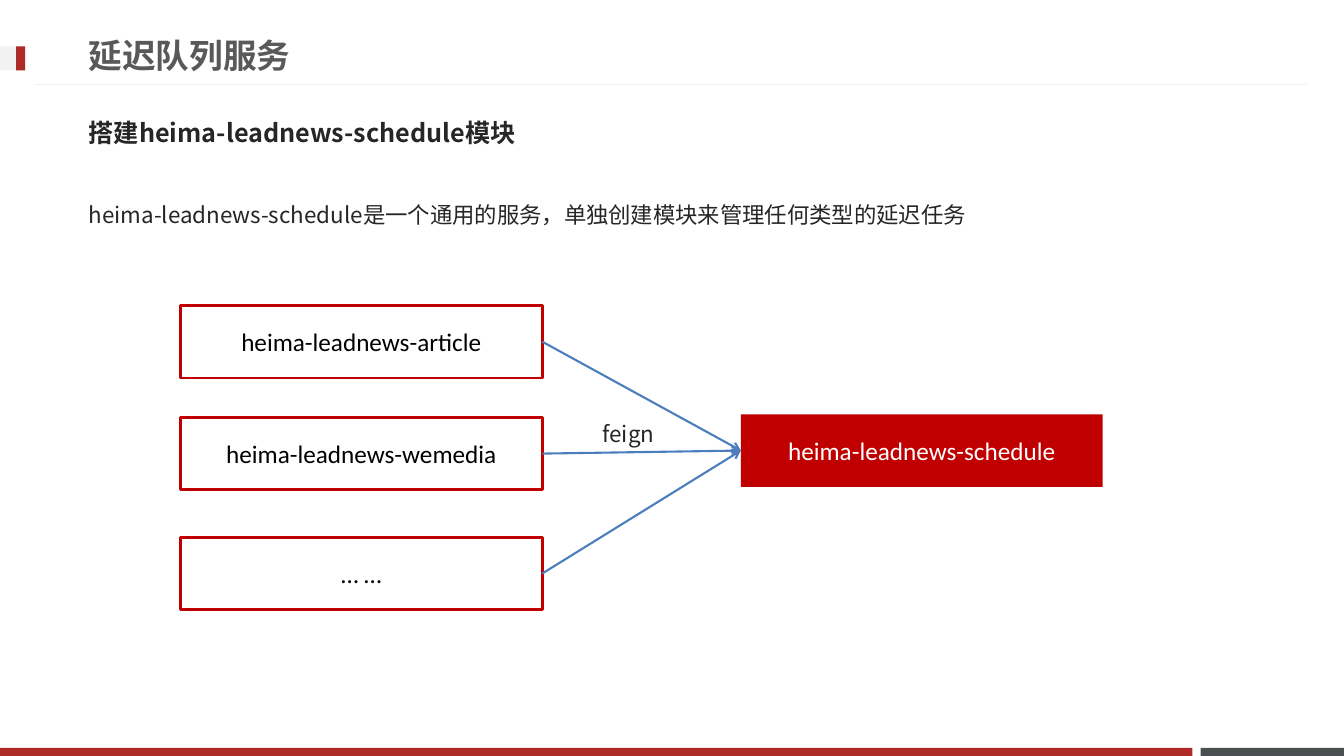
"""Build the delay queue service slide."""
import dataclasses

import lxml.etree
import pptx
import pptx.dml.color
import pptx.enum.shapes
import pptx.enum.text
import pptx.oxml.ns
import pptx.util

ANCHOR = pptx.enum.text.MSO_ANCHOR
ALIGN = pptx.enum.text.PP_ALIGN
KIND = pptx.enum.shapes


@dataclasses.dataclass(frozen=True)
class Theme:
    white: str = "FFFFFF"
    black: str = "000000"
    ink: str = "262626"
    gray: str = "595959"
    pale: str = "F2F2F2"
    slate: str = "49504F"
    brick: str = "AD2B26"
    red: str = "C00000"
    blue: str = "4B7EBC"
    head: int = 24
    label: int = 18
    text: int = 16
    latin: str = "Arial"
    plain: str = "Calibri"
    cjk: str = "Noto Sans CJK JP"


class Deck:
    cols, rows = 160, 90

    def __init__(self, theme):
        self.theme = theme
        self.show = pptx.Presentation()
        self.show.slide_width = pptx.util.Inches(13.33)
        self.show.slide_height = pptx.util.Inches(7.5)
        self.slide = self.show.slides.add_slide(self.show.slide_layouts[3])

    def x(self, col):
        return round(self.show.slide_width * col / self.cols)

    def y(self, row):
        return round(self.show.slide_height * row / self.rows)

    def area(self, col, row, wide, high):
        return self.x(col), self.y(row), self.x(wide), self.y(high)

    def color(self, code):
        return pptx.dml.color.RGBColor.from_string(code)

    def tag(self, parent, name, **attrs):
        return lxml.etree.SubElement(parent, pptx.oxml.ns.qn(name), attrs)

    def label(self, shape, text, size, color, font, bold=False,
              align=ALIGN.LEFT, anchor=ANCHOR.MIDDLE, space=1.0):
        frame = shape.text_frame
        frame.text = text
        frame.word_wrap = True
        frame.auto_size = pptx.enum.text.MSO_AUTO_SIZE.NONE
        frame.vertical_anchor = anchor
        para = frame.paragraphs[0]
        para.alignment = align
        para.line_spacing = space
        para.space_before = pptx.util.Pt(0)
        for run in para.runs:
            run.font.size = pptx.util.Pt(size)
            run.font.bold = bold
            run.font.name = font
            run.font.color.rgb = self.color(color)
            self.tag(run._r.get_or_add_rPr(), "a:ea", typeface=self.theme.cjk)

    def holder(self, index, area, text, size, color, font, **look):
        shape = self.slide.placeholders[index]
        shape.left, shape.top, shape.width, shape.height = self.area(*area)
        self.label(shape, text, size, color, font, **look)
        props = shape.text_frame.paragraphs[0]._p.get_or_add_pPr()
        props.set("marL", "0")
        props.set("indent", "0")
        self.tag(props, "a:buNone")

    def rect(self, area, fill=None, line=None):
        shape = self.slide.shapes.add_shape(
            KIND.MSO_SHAPE.RECTANGLE, *self.area(*area))
        shape.shadow.inherit = False
        if fill:
            shape.fill.solid()
            shape.fill.fore_color.rgb = self.color(fill)
        else:
            shape.fill.background()
        if line:
            shape.line.color.rgb = self.color(line)
            shape.line.width = pptx.util.Pt(2)
        else:
            shape.line.fill.background()
        return shape

    def node(self, area, text, color, **look):
        shape = self.rect(area, **look)
        self.label(shape, text, self.theme.label, color, self.theme.plain,
                   align=ALIGN.CENTER)
        return shape

    def note(self, area, text):
        shape = self.slide.shapes.add_textbox(*self.area(*area))
        self.label(shape, text, self.theme.text, self.theme.ink,
                   self.theme.cjk, anchor=ANCHOR.TOP, space=1.5)

    def line(self, start, end, color, width):
        link = self.slide.shapes.add_connector(
            KIND.MSO_CONNECTOR.STRAIGHT, self.x(start[0]), self.y(start[1]),
            self.x(end[0]), self.y(end[1]))
        link.line.color.rgb = self.color(color)
        link.line.width = pptx.util.Pt(width)
        self.tag(link._element.spPr, "a:effectLst")
        return link

    def arrow(self, source, target):
        link = self.line((0, 0), (1, 1), self.theme.blue, 1.5)
        link.begin_connect(source, 3)
        link.end_connect(target, 1)
        self.tag(link._element.spPr.ln, "a:tailEnd", type="arrow")


def main():
    """Draw the slide and save it."""
    theme = Theme()
    deck = Deck(theme)

    deck.rect((142.92, 89.04, 17.08, 0.96), fill=theme.slate)
    deck.rect((0, 89.04, 141.96, 0.96), fill=theme.brick)
    deck.line((155.76, 10.08), (4.2, 10.08), theme.pale, 0.75)
    deck.rect((0, 5.52, 3, 2.88), fill=theme.pale)
    deck.rect((1.92, 5.52, 1.08, 2.88), fill=theme.brick)

    left, high = 9.36, 6.84
    deck.holder(0, (left, 3.12, 115.1, high), "延迟队列服务",
                theme.head, theme.gray, theme.latin, bold=True)
    deck.holder(1, (left, 12.36, 140.4, high), "搭建heima-leadnews-schedule模块",
                theme.label, theme.ink, theme.cjk, bold=True)
    deck.holder(2, (left, 21.72, 140.4, high),
                "heima-leadnews-schedule是一个通用的服务，单独创建模块来管理任何类型的延迟任务",
                theme.text, theme.ink, theme.cjk, anchor=ANCHOR.TOP, space=1.5)

    size = 43.08, 8.64
    users = [deck.node((21.48, row, *size), name, theme.black, line=theme.red)
             for row, name in ((36.36, "heima-leadnews-article"),
                               (49.68, "heima-leadnews-wemedia"),
                               (63.96, "… …"))]
    hub = deck.node((88.2, 49.32, *size), "heima-leadnews-schedule",
                    theme.white, fill=theme.red)
    for user in users:
        deck.arrow(user, hub)
    deck.note((70.56, 47.88, 11.4, high), "feign")

    deck.show.save("out.pptx")


if __name__ == "__main__":
    main()
